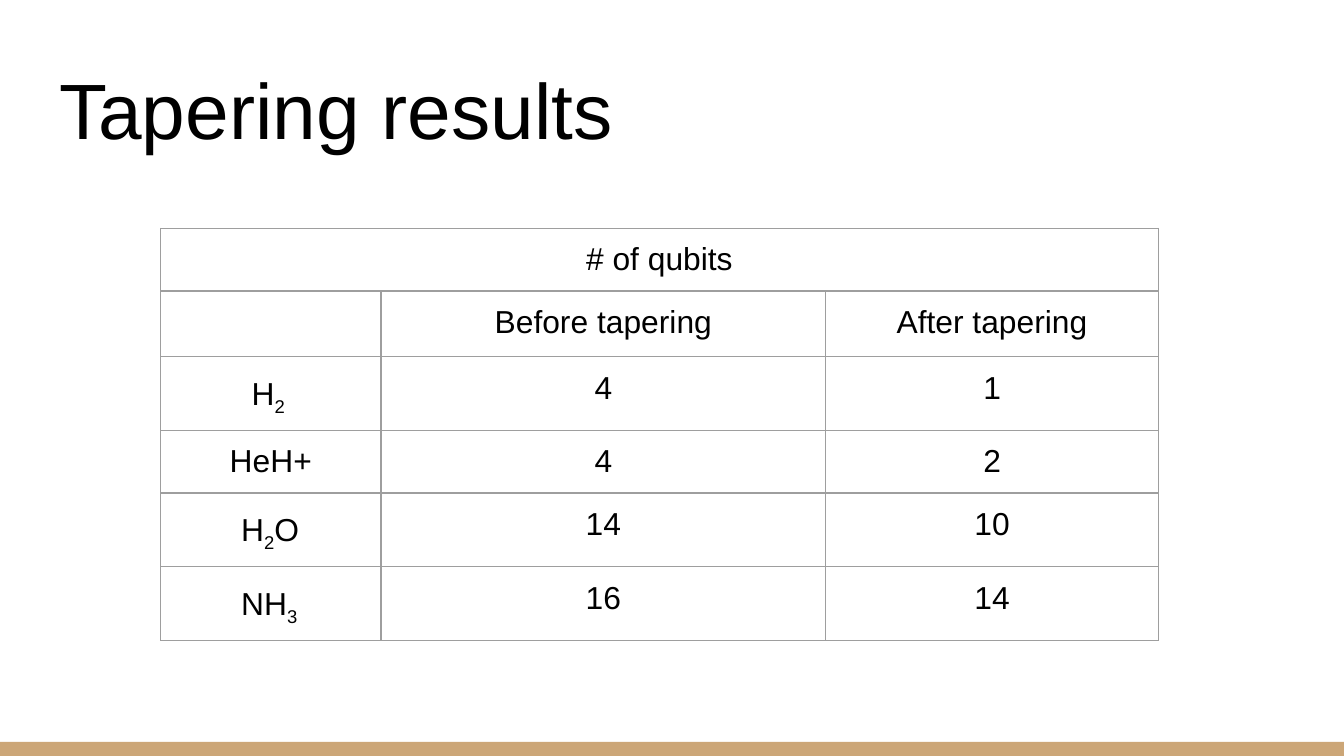
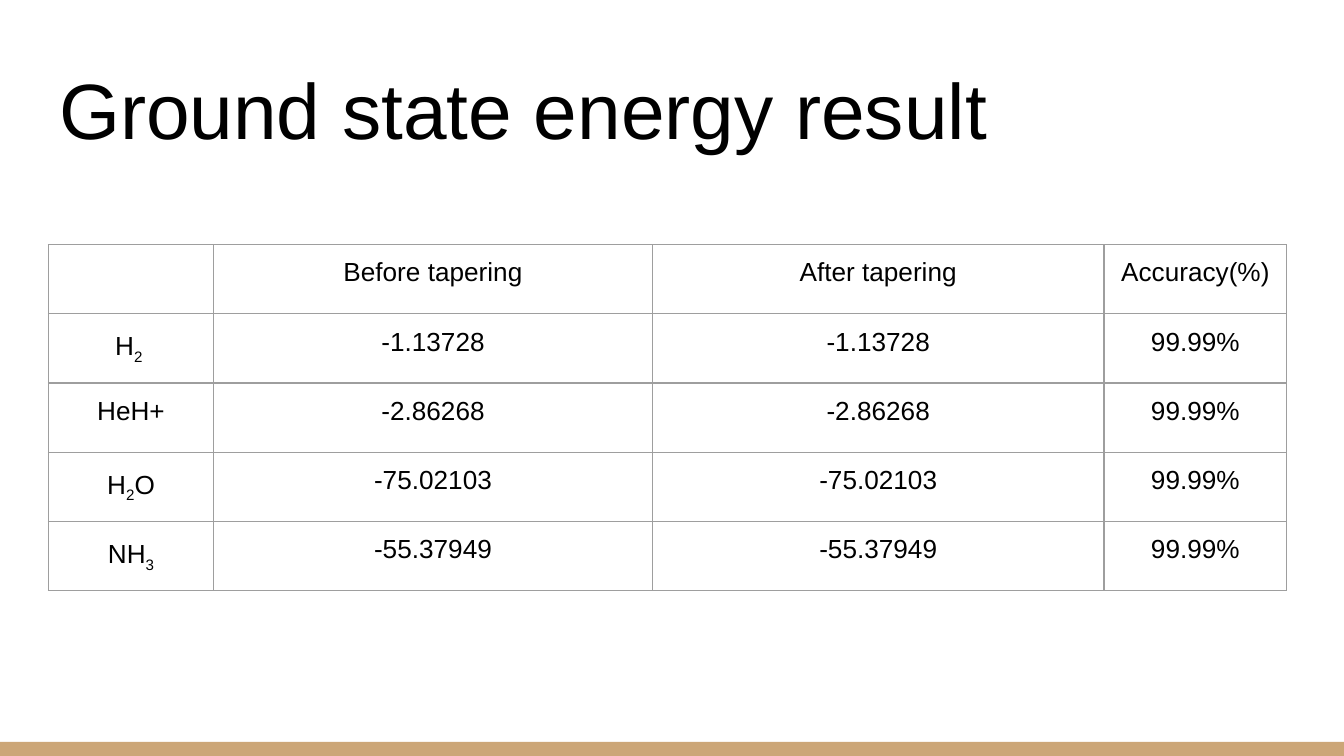
import itertools

import pptx
import pptx.dml.color
import pptx.enum.shapes
import pptx.enum.text
import pptx.oxml
import pptx.oxml.ns
import pptx.util

ALIGN = pptx.enum.text.PP_ALIGN
COLUMNS, ROWS = 100, 56.25
UNIT = pptx.util.Inches(10) / COLUMNS


def grid(count):
    return pptx.util.Emu(round(count * UNIT))


def color(hex_string):
    return pptx.dml.color.RGBColor.from_string(hex_string)


def apply(target, values):
    for name, value in values.items():
        setattr(target, name, value)


class Deck:
    """Holds the shared style and the current slide, and draws each kind of element."""

    ink, band_fill, rule = "000000", "CCA677", "9E9E9E"
    font = "Arial"
    insets = {f"margin_{side}": grid(1) for side in ("left", "top", "right", "bottom")}
    formula_spacing = {"line_spacing": 1.15, "space_after": pptx.util.Pt(12)}

    def __init__(self):
        self.presentation = pptx.Presentation()
        apply(self.presentation, {"slide_width": grid(COLUMNS), "slide_height": grid(ROWS)})
        self.slide = None

    def start_slide(self, heading):
        self.slide = self.presentation.slides.add_slide(self.presentation.slide_layouts[5])
        self.band()
        self.title(heading)

    def band(self):
        strip = self.slide.shapes.add_shape(
            pptx.enum.shapes.MSO_SHAPE.RECTANGLE, 0, grid(55.2), grid(COLUMNS), grid(ROWS - 55.2))
        strip.shadow.inherit = False
        strip.fill.solid()
        strip.fill.fore_color.rgb = color(self.band_fill)
        strip.line.fill.background()

    def title(self, heading):
        holder = self.slide.shapes.title
        apply(holder, {"left": grid(3.4), "top": grid(3.45),
                       "width": grid(93.2), "height": grid(9.1)})
        apply(holder.text_frame, {
            **self.insets, "word_wrap": True,
            "auto_size": pptx.enum.text.MSO_AUTO_SIZE.NONE,
            "vertical_anchor": pptx.enum.text.MSO_ANCHOR.BOTTOM})
        paragraph = holder.text_frame.paragraphs[0]
        apply(paragraph, {"alignment": ALIGN.LEFT, "line_spacing": 1.0})
        self.run(paragraph, heading, 42)

    def run(self, paragraph, words, size, subscript=False):
        piece = paragraph.add_run()
        piece.text = words
        apply(piece.font, {"name": self.font, "size": pptx.util.Pt(size)})
        piece.font.color.rgb = color(self.ink)
        if subscript:
            piece.font._element.set("baseline", "-25000")

    def formula(self, paragraph, words, size, indented):
        parts = itertools.groupby(words, lambda letter: letter in "0123456789 ")
        for subscript, letters in parts:
            self.run(paragraph, "".join(letters), size, subscript)
        if any(letter.isdigit() for letter in words):
            apply(paragraph, self.formula_spacing)
        if indented:
            paragraph.alignment = ALIGN.LEFT
            properties = paragraph._p.get_or_add_pPr()
            properties.set("marL", str(grid(5)))
            properties.set("indent", "0")

    def borders(self, cell):
        properties = cell._tc.get_or_add_tcPr()
        for position, side in enumerate("LRTB"):
            properties.insert(position, pptx.oxml.parse_xml(
                f'<a:ln{side} {pptx.oxml.ns.nsdecls("a")} w="{pptx.util.Pt(0.75)}">'
                f'<a:solidFill><a:srgbClr val="{self.rule}"/></a:solidFill></a:ln{side}>'))

    def table(self, left, top, widths, row_height, size, rows, spanning=None, indented=()):
        contents = ([[spanning] + [""] * (len(widths) - 1)] if spanning else []) + rows
        results = self.slide.shapes.add_table(
            len(contents), len(widths), grid(left), grid(top),
            grid(sum(widths)), grid(row_height * len(contents))).table
        apply(results, {"first_row": False, "horz_banding": False})
        for column, width in zip(results.columns, widths):
            column.width = grid(width)
        for row, values in zip(results.rows, contents):
            row.height = grid(row_height)
            for index, (cell, words) in enumerate(zip(row.cells, values)):
                apply(cell, self.insets)
                cell.fill.background()
                self.borders(cell)
                paragraph = cell.text_frame.paragraphs[0]
                paragraph.alignment = ALIGN.CENTER
                if not words:
                    paragraph._p.append(pptx.oxml.parse_xml(
                        f'<a:endParaRPr {pptx.oxml.ns.nsdecls("a")} sz="{size * 100}"/>'))
                elif index == 0 and words != spanning:
                    self.formula(paragraph, words, size, words in indented)
                else:
                    self.run(paragraph, words, size)
        if spanning:
            results.cell(0, 0).merge(results.cell(0, len(widths) - 1))


MOLECULES = ["H2 ", "HeH+", "H2O", "NH3"]
STAGES = ["", "Before tapering", "After tapering"]
QUBITS = [("4", "1"), ("4", "2"), ("14", "10"), ("16", "14")]
ENERGIES = ["-1.13728", "-2.86268", "-75.02103", "-55.37949"]


def main():
    deck = Deck()

    deck.start_slide("Tapering results")
    qubit_rows = [[molecule, *counts] for molecule, counts in zip(MOLECULES, QUBITS)]
    deck.table(11.95, 17, [16.4, 33.1, 24.75], 4.4, 17, [STAGES] + qubit_rows,
               spanning="# of qubits", indented=("H2O", "NH3"))

    deck.start_slide("Ground state energy result")
    energy_rows = [[molecule, energy, energy, "99.99%"]
                   for molecule, energy in zip(MOLECULES, ENERGIES)]
    deck.table(3.6, 18.2, [12.3, 32.65, 33.6, 13.6], 5.15, 14,
               [STAGES + ["Accuracy(%)"]] + energy_rows)

    deck.presentation.save("out.pptx")


if __name__ == "__main__":
    main()
